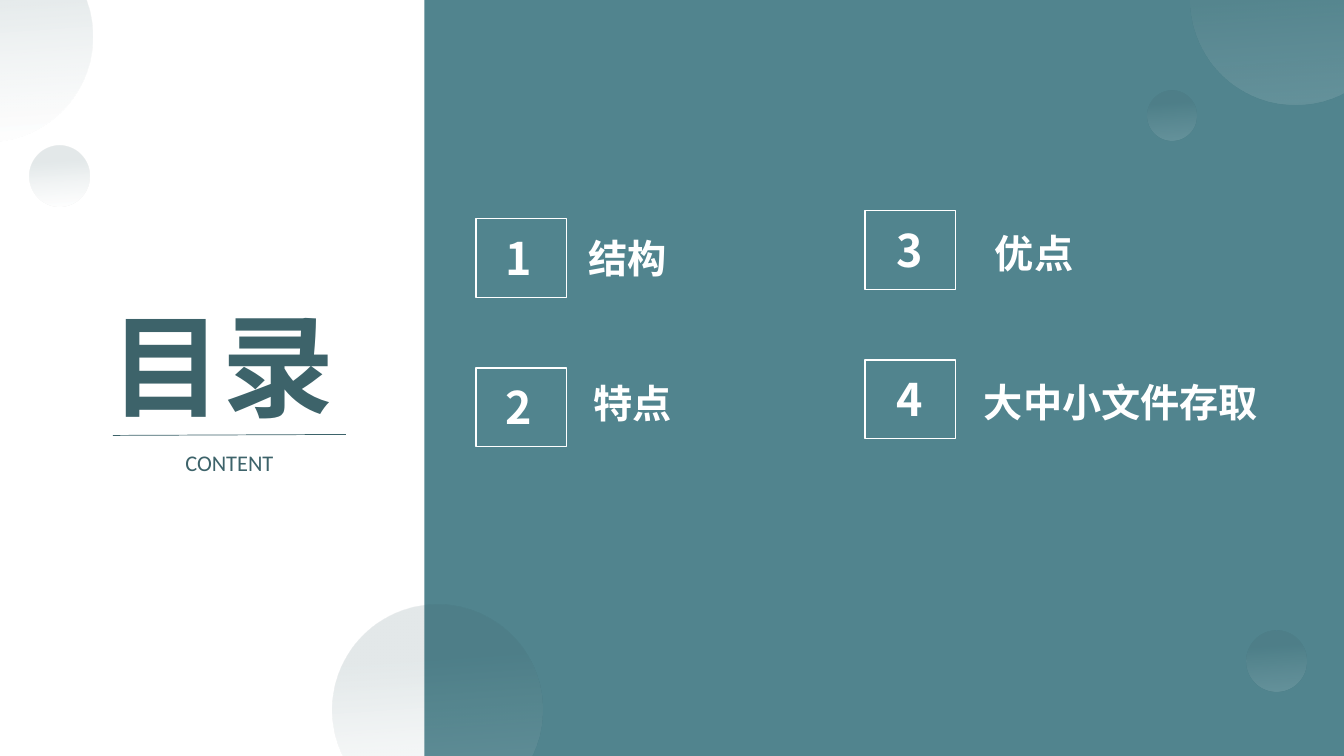
from lxml.etree import SubElement
from pptx import Presentation
from pptx.dml.color import RGBColor
from pptx.enum.shapes import MSO_CONNECTOR, MSO_SHAPE
from pptx.enum.text import MSO_ANCHOR, MSO_AUTO_SIZE, PP_ALIGN
from pptx.oxml.ns import qn
from pptx.util import Inches, Pt

TEAL, DARK, WHITE = "51848E", "3D636A", "FFFFFF"
CHINESE, LATIN = "Noto Sans CJK SC", "Calibri"

TITLE, SUBTITLE = "目录", "CONTENT"
# Each column: box left, number left, first box top, entries as (text, left, top)
COLUMNS = [
    (4.72, 4.77, 2.17, [("结构", 5.74, 2.28), ("特点", 5.79, 3.71)]),
    (8.58, 8.65, 2.09, [("优点", 9.77, 2.23), ("大中小文件存取", 9.66, 3.7)]),
]
ROW_STEP = 1.48
# Left, top, diameter
BUBBLES = [
    (-1.16, -0.68, 2.08), (0.29, 1.45, 0.6), (3.3, 6, 2.08),
    (11.81, -1.04, 2.08), (12.36, 6.26, 0.6), (11.38, 0.9, 0.49),
]
# Position, colour, opacity in percent
BUBBLE_STOPS = [(0.28, DARK, 14), (1, WHITE, 11)]


def color(value):
    return RGBColor.from_string(value)


def inches(*lengths):
    return [Inches(length) for length in lengths]


def write(box, text, size, ink, font=CHINESE, bold=True, align=PP_ALIGN.LEFT,
          spacing=None, wrap=True):
    frame = box.text_frame
    frame.word_wrap = wrap
    frame.auto_size = MSO_AUTO_SIZE.SHAPE_TO_FIT_TEXT
    frame.vertical_anchor = MSO_ANCHOR.TOP
    para = frame.paragraphs[0]
    para.text = text
    para.alignment = align
    para.line_spacing = spacing
    para.font.size = Pt(size)
    para.font.bold = bold
    para.font.name = font
    para.font.color.rgb = color(ink)
    defaults = para._p.pPr.find(qn("a:defRPr"))
    SubElement(defaults, qn("a:ea")).set("typeface", font)


def add_text(page, place, *args, **kwargs):
    write(page.shapes.add_textbox(*inches(*place)), *args, **kwargs)


def add_shape(page, kind, place):
    shape = page.shapes.add_shape(kind, *inches(*place))
    shape.shadow.inherit = False
    return shape


def add_panel(page):
    panel = add_shape(page, MSO_SHAPE.RECTANGLE, (4.21, 0, 9.12, 7.5))
    panel.fill.solid()
    panel.fill.fore_color.rgb = color(TEAL)
    panel.line.fill.background()


def add_heading(page):
    title = page.shapes.title
    title.left, title.top, title.width, title.height = inches(1, 2.63, 2.56, 1.7)
    write(title, TITLE, 80, DARK, spacing=1.2)
    add_text(page, (1.74, 4.44, 1.07, 0.34), SUBTITLE, 16, DARK, font=LATIN,
             bold=False, spacing=0.9, wrap=False)
    rule = page.shapes.add_connector(MSO_CONNECTOR.STRAIGHT,
                                     *inches(1.12, 4.32, 3.43, 4.31))
    rule.line.color.rgb = color(DARK)
    rule.line.width = Pt(0.5)
    SubElement(rule._element.spPr, qn("a:effectLst"))


def add_entries(page):
    number = 0
    for box_left, number_left, first_top, entries in COLUMNS:
        for row, (text, left, text_top) in enumerate(entries):
            number += 1
            top = first_top + row * ROW_STEP
            add_text(page, (left, text_top, 3.19, 0.57), text, 28, WHITE)
            box = add_shape(page, MSO_SHAPE.ROUNDED_RECTANGLE,
                            (box_left, top, 0.9, 0.78))
            box.adjustments[0] = 0
            box.fill.background()
            box.line.color.rgb = color(WHITE)
            box.line.width = Pt(1)
            add_text(page, (number_left, top + 0.07, 0.75, 0.63), str(number),
                     32, WHITE, align=PP_ALIGN.CENTER)


def add_bubbles(page):
    for left, top, size in BUBBLES:
        bubble = add_shape(page, MSO_SHAPE.OVAL, (left, top, size, size))
        bubble.line.fill.background()
        bubble.fill.gradient()
        bubble.fill.gradient_angle = 360 - 86
        for stop, (position, ink, opacity) in zip(bubble.fill.gradient_stops,
                                                  BUBBLE_STOPS):
            stop.position = position
            stop.color.rgb = color(ink)
        for tint, (_, _, opacity) in zip(
                bubble._element.spPr.iter(qn("a:srgbClr")), BUBBLE_STOPS):
            SubElement(tint, qn("a:alpha")).set("val", str(opacity * 1000))


def main():
    deck = Presentation()
    deck.slide_width, deck.slide_height = inches(13.33, 7.5)
    page = deck.slides.add_slide(deck.slide_layouts[5])
    add_panel(page)
    add_heading(page)
    add_entries(page)
    add_bubbles(page)
    deck.save("out.pptx")


if __name__ == "__main__":
    main()
